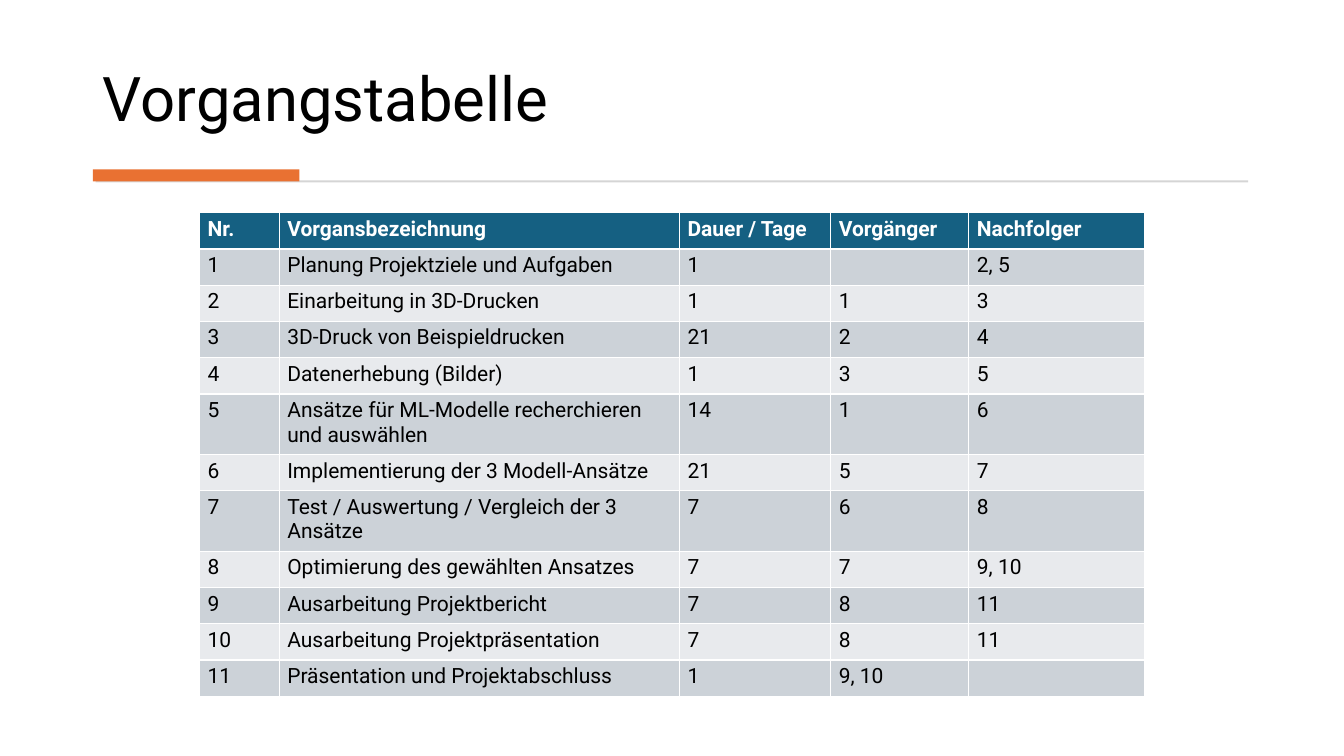
from lxml import etree
from pptx import Presentation
from pptx.dml.color import RGBColor
from pptx.enum import shapes, text
from pptx.oxml import ns
from pptx.util import Inches, Pt

FONT = "Roboto"
BLACK = RGBColor(0x00, 0x00, 0x00)
WHITE = RGBColor(0xFF, 0xFF, 0xFF)
ORANGE = RGBColor(0xE9, 0x71, 0x32)
RULE_GREY = RGBColor(0xD5, 0xD5, 0xD5)
HEADER_BLUE = RGBColor(0x15, 0x60, 0x82)
BANDS = (RGBColor(0xCC, 0xD2, 0xD8), RGBColor(0xE8, 0xEA, 0xED))

COL_WIDTHS = (0.79, 3.97, 1.5, 1.37, 1.74)
ROW_HEIGHT, TALL_ROW_HEIGHT = 0.36, 0.6
TALL_ROWS = (5, 7)
HEADER = ("Nr.", "Vorgansbezeichnung", "Dauer / Tage", "Vorgänger", "Nachfolger")
TASKS = (
    ("Planung Projektziele und Aufgaben", "1", "", "2, 5"),
    ("Einarbeitung in 3D-Drucken", "1", "1", "3"),
    ("3D-Druck von Beispieldrucken", "21", "2", "4"),
    ("Datenerhebung (Bilder)", "1", "3", "5"),
    ("Ansätze für ML-Modelle recherchieren und auswählen", "14", "1", "6"),
    ("Implementierung der 3 Modell-Ansätze", "21", "5", "7"),
    ("Test / Auswertung / Vergleich der 3 Ansätze", "7", "6", "8"),
    ("Optimierung des gewählten Ansatzes", "7", "7", "9, 10"),
    ("Ausarbeitung Projektbericht", "7", "8", "11"),
    ("Ausarbeitung Projektpräsentation", "7", "8", "11"),
    ("Präsentation und Projektabschluss", "1", "9, 10", ""),
)


def set_font(p, size, color, bold=False):
    """Format all text of a paragraph."""
    p.font.name = FONT
    p.font.size = Pt(size)
    p.font.bold = bold
    p.font.color.rgb = color


def add_title(s, title, left, top, width, height):
    """Place the slide title in the given box."""
    sp = s.shapes.title
    sp.left, sp.top = Inches(left), Inches(top)
    sp.width, sp.height = Inches(width), Inches(height)
    tf = sp.text_frame
    tf.text = title
    tf.word_wrap = True
    tf.auto_size = text.MSO_AUTO_SIZE.NONE
    tf.vertical_anchor = text.MSO_ANCHOR.BOTTOM
    p = tf.paragraphs[0]
    p.alignment = text.PP_ALIGN.LEFT
    p.line_spacing = 0.9
    set_font(p, 44, BLACK)


def add_bar(s, color, left, top, width, height):
    """Draw a plain filled bar."""
    sp = s.shapes.add_shape(shapes.MSO_SHAPE.RECTANGLE, Inches(left), Inches(top),
                            Inches(width), Inches(height))
    sp.shadow.inherit = False
    sp.fill.solid()
    sp.fill.fore_color.rgb = color
    sp.line.fill.background()


def add_divider(s, left, top):
    """Draw the grey rule with its orange accent below the title."""
    add_bar(s, RULE_GREY, left + 0.03, top + 0.11, 11.43, 0.02)
    add_bar(s, ORANGE, left, top, 2.05, 0.12)


def fill_cell(cell, value, fill, color, bold):
    """Write and format one table cell."""
    cell.fill.solid()
    cell.fill.fore_color.rgb = fill
    cell.margin_left = cell.margin_right = Inches(0.08)
    cell.margin_top = cell.margin_bottom = Inches(0.04)
    cell.text = value
    p = cell.text_frame.paragraphs[0]
    set_font(p, 15, color, bold)
    if not value:
        etree.SubElement(p._p, ns.qn("a:endParaRPr"), sz="1500")


def add_task_table(s, left, top):
    """Build the task table with header and banded rows."""
    rows = [HEADER] + [(str(n), *task) for n, task in enumerate(TASKS, 1)]
    heights = [TALL_ROW_HEIGHT if i in TALL_ROWS else ROW_HEIGHT for i in range(len(rows))]
    table = s.shapes.add_table(len(rows), len(HEADER), Inches(left), Inches(top),
                               Inches(sum(COL_WIDTHS)), Inches(sum(heights))).table
    for column, width in zip(table.columns, COL_WIDTHS):
        column.width = Inches(width)
    for i, (values, height) in enumerate(zip(rows, heights)):
        table.rows[i].height = Inches(height)
        is_header = i == 0
        fill = HEADER_BLUE if is_header else BANDS[(i - 1) % 2]
        for j, value in enumerate(values):
            fill_cell(table.cell(i, j), value, fill, WHITE if is_header else BLACK, is_header)


def main():
    """Build and save the slide."""
    prs = Presentation()
    prs.slide_width, prs.slide_height = Inches(13.33), Inches(7.5)
    s = prs.slides.add_slide(prs.slide_layouts[5])
    add_title(s, "Vorgangstabelle", 0.92, 0.28, 11.49, 1.11)
    add_divider(s, 0.92, 1.68)
    add_task_table(s, 1.98, 2.11)
    prs.save("out.pptx")


if __name__ == "__main__":
    main()
